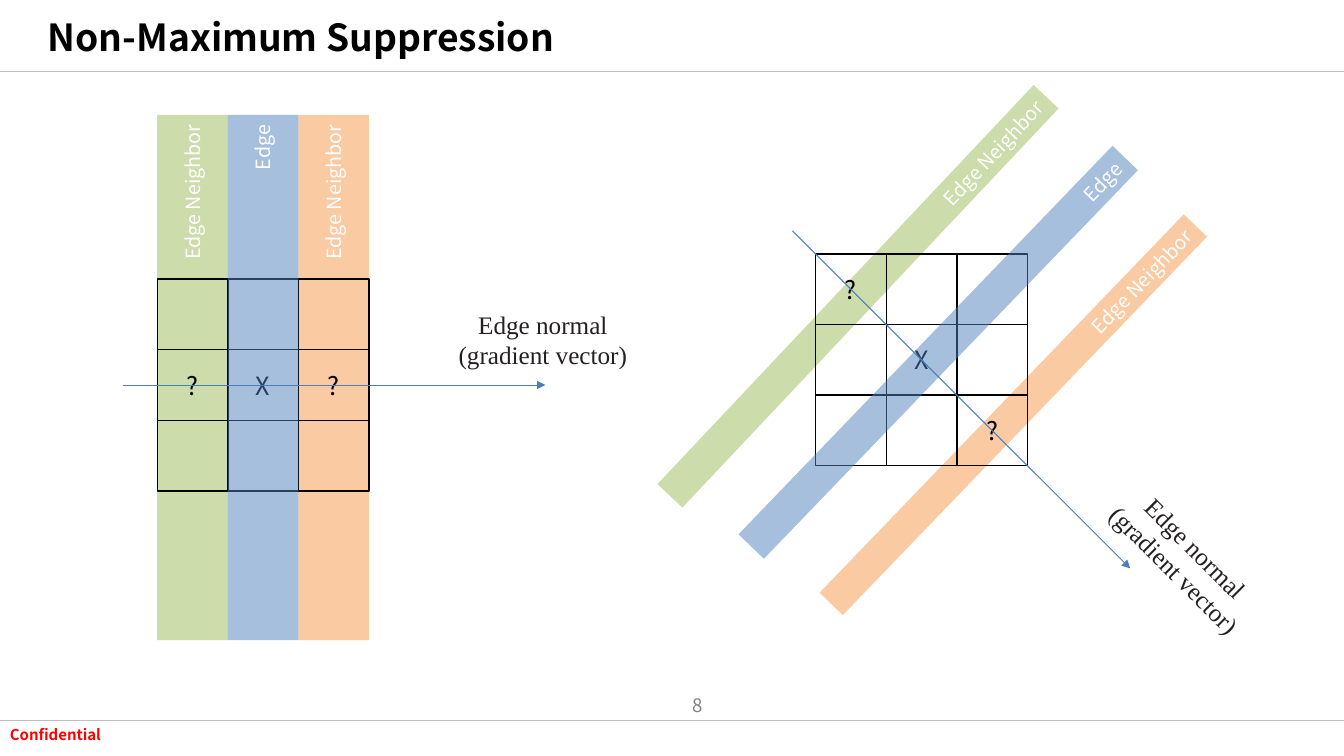
from pptx import Presentation, util as u
from pptx.dml.color import RGBColor
from pptx.enum import shapes, text
from pptx.oxml.ns import qn
from lxml import etree

WIDTH, HEIGHT = 13.33, 7.5
CELL = 0.7
BAND_LENGTH = 5.21
SANS, SERIF = "Noto Sans CJK KR", "Times New Roman"
LEFT, CENTER, RIGHT = text.PP_ALIGN.LEFT, text.PP_ALIGN.CENTER, text.PP_ALIGN.RIGHT
TOP, MIDDLE = text.MSO_ANCHOR.TOP, text.MSO_ANCHOR.MIDDLE
COLORS = {
    "green": "9BBB59", "blue": "4F81BD", "orange": "F79646",
    "arrow": "4B7EBC", "rule": "BFBFBF", "black": "000000", "white": "FFFFFF",
    "label": "242021", "red": "FF0000", "gray": "808080",
}
FORMATS = {
    "title": {"size": u.Pt(26.6), "name": SANS, "bold": True},
    "cell": {"size": u.Pt(18), "name": SANS},
    "band": {"size": u.Pt(14), "name": SANS},
    "label": {"size": u.Pt(18), "name": SERIF},
    "footer": {"size": u.Pt(10.7), "name": SANS, "bold": True},
    "number": {"size": u.Pt(13.3), "name": SANS},
}


def color(name):
    return RGBColor.from_string(COLORS[name])


def inches(*lengths):
    return [u.Inches(length) for length in lengths]


def place(shape, left, top, width, height):
    for side, length in zip(("left", "top", "width", "height"),
                            inches(left, top, width, height)):
        setattr(shape, side, length)


def write(shape, lines, style, ink, align, anchor=MIDDLE):
    frame = shape.text_frame
    for key, value in {"word_wrap": True, "vertical_anchor": anchor,
                       "auto_size": text.MSO_AUTO_SIZE.NONE}.items():
        setattr(frame, key, value)
    frame.text = "\n".join(lines)
    for para in frame.paragraphs:
        para.alignment = align
        for span in para.runs:
            for key, value in FORMATS[style].items():
                setattr(span.font, key, value)
            span.font.color.rgb = color(ink)


def add_text(page, area, lines, style, ink, align, anchor=TOP, angle=0):
    box = page.shapes.add_textbox(*inches(*area))
    write(box, lines, style, ink, align, anchor)
    box.rotation = angle


def add_rectangle(page, area):
    box = page.shapes.add_shape(shapes.MSO_SHAPE.RECTANGLE, *inches(*area))
    box.shadow.inherit = False
    return box


def add_band(page, area, fill, caption, angle=0):
    """Half-transparent strip whose caption reads upwards."""
    band = add_rectangle(page, area)
    band.rotation = angle
    band.line.fill.background()
    band.fill.solid()
    band.fill.fore_color.rgb = color(fill)
    tint = band.fill._xPr.find(".//" + qn("a:srgbClr"))
    etree.SubElement(tint, qn("a:alpha"), val="50000")
    write(band, [caption], "band", "white", RIGHT)
    band.text_frame._txBody.bodyPr.set("vert", "vert270")


def add_pixels(page, left, top, rows):
    """Grid of outlined cells, one per character."""
    for row, marks in enumerate(rows):
        for column, mark in enumerate(marks):
            cell = add_rectangle(page, (left + column * CELL, top + row * CELL, CELL, CELL))
            cell.fill.background()
            cell.line.color.rgb = color("black")
            cell.line.width = u.Pt(1)
            if mark.strip():
                write(cell, [mark], "cell", "black", CENTER)


def add_line(page, start, end, ink, weight, arrow=False):
    line = page.shapes.add_connector(shapes.MSO_CONNECTOR.STRAIGHT, *inches(*start, *end))
    line.line.color.rgb = color(ink)
    line.line.width = u.Pt(weight)
    if arrow:
        etree.SubElement(line.line._get_or_add_ln(), qn("a:tailEnd"), type="triangle")
    etree.SubElement(line._element.spPr, qn("a:effectLst"))


def add_normal_label(page, left, top, angle=0):
    add_text(page, (left, top, 1.93, 1.01), ["Edge normal", "(gradient vector)"],
             "label", "label", CENTER, angle=angle)


def add_frame(page):
    for level in (0.71, 7.15):
        add_line(page, (0, level), (WIDTH, level), "rule", 1)
    add_text(page, (0, 7.15, 2.29, 0.28), ["Confidential"], "footer", "red", LEFT)
    add_text(page, (6.32, 6.79, 0.75, 0.4), ["8"], "number", "gray", RIGHT, MIDDLE)
    title = page.shapes.title
    place(title, 0.37, 0.16, 8.1, 0.4)
    write(title, ["Non-Maximum Suppression"], "title", "black", LEFT)


def add_vertical_edge(page):
    left, top, band_top = 1.56, 2.77, 1.14

    def add_column(column, fill, caption):
        add_band(page, (left + column * CELL, band_top, CELL, BAND_LENGTH), fill, caption)

    add_column(2, "orange", "Edge Neighbor")
    add_column(0, "green", "Edge Neighbor")
    add_pixels(page, left, top, ["   ", "?X?", "   "])
    add_column(1, "blue", "Edge")
    middle = top + 1.5 * CELL
    add_line(page, (1.22, middle), (5.41, middle), "arrow", 0.75, arrow=True)
    add_normal_label(page, 4.42, 3.02)


def add_diagonal_edge(page):
    add_band(page, (9.89, 1.51, 0.32, BAND_LENGTH), "orange", "Edge Neighbor", 43.9)
    add_band(page, (8.34, 0.22, 0.34, 5.44), "green", "Edge Neighbor", 43.3)
    add_pixels(page, 8.09, 2.52, ["?  ", " X ", "  ?"])
    add_band(page, (9.13, 0.82, 0.35, 5.35), "blue", "Edge", 43.9)
    add_line(page, (7.86, 2.29), (11.21, 5.64), "arrow", 0.75, arrow=True)
    add_normal_label(page, 10.68, 5.15, 44.8)


def main():
    deck = Presentation()
    deck.slide_width, deck.slide_height = inches(WIDTH, HEIGHT)
    page = deck.slides.add_slide(deck.slide_layouts[5])
    add_frame(page)
    add_vertical_edge(page)
    add_diagonal_edge(page)
    deck.save("out.pptx")


if __name__ == "__main__":
    main()
